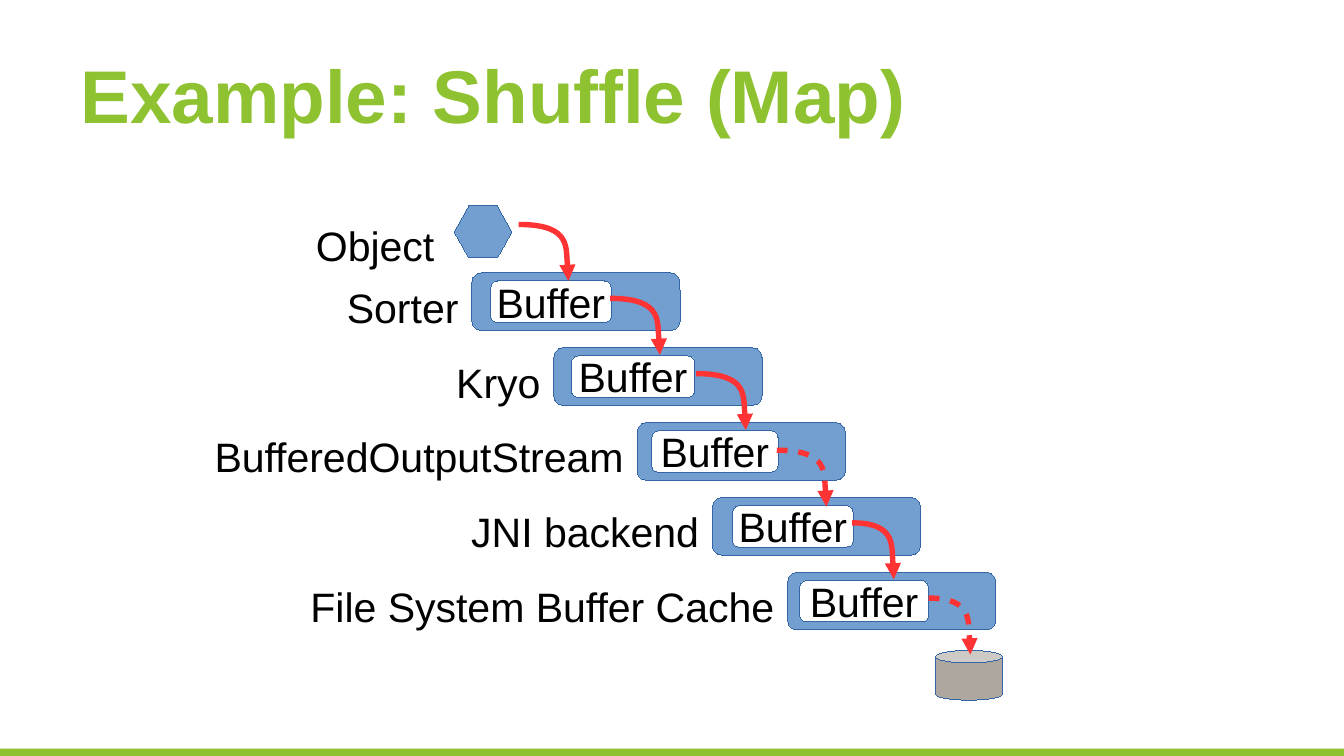
from dataclasses import dataclass

from lxml import etree
from pptx import Presentation
from pptx.dml.color import RGBColor
from pptx.enum.shapes import MSO_SHAPE
from pptx.enum.text import MSO_ANCHOR, MSO_AUTO_SIZE, PP_ALIGN
from pptx.oxml.ns import qn
from pptx.util import Inches, Pt

RECTANGLE = MSO_SHAPE.RECTANGLE
ROUNDED = MSO_SHAPE.ROUNDED_RECTANGLE
HEXAGON = MSO_SHAPE.HEXAGON
CAN = MSO_SHAPE.CAN
LEFT, CENTER, RIGHT = PP_ALIGN.LEFT, PP_ALIGN.CENTER, PP_ALIGN.RIGHT
TOP, MIDDLE = MSO_ANCHOR.TOP, MSO_ANCHOR.MIDDLE
NO_FIT, GROW = MSO_AUTO_SIZE.NONE, MSO_AUTO_SIZE.SHAPE_TO_FIT_TEXT

COLORS = {
    "green": "8FC230",
    "blue": "729FCF",
    "outline": "3465A4",
    "white": "FFFFFF",
    "black": "000000",
    "gray": "AEA79F",
    "red": "FF3333",
}
TITLE_FONT = {"name": "Arial", "size": Pt(40), "bold": True}
BODY_FONT = {"name": "Arial", "size": Pt(22), "bold": False}
BUFFER_FRAME = {"word_wrap": False, "vertical_anchor": MIDDLE, "auto_size": NO_FIT}
LABEL_FRAME = {"word_wrap": True, "vertical_anchor": TOP, "auto_size": GROW}
TITLE_FRAME = {"word_wrap": True, "vertical_anchor": MIDDLE, "auto_size": NO_FIT}

STAGE_TOP, STAGE_STEP = 2.03, 0.557
STAGE_WIDTH, STAGE_HEIGHT = 1.55, 0.43
BUFFER_HEIGHT = 0.31
HAIRLINE = Pt(0.01)


@dataclass
class Box:
    left: float
    top: float
    width: float
    height: float

    def lengths(self) -> list:
        return [Inches(v) for v in (self.left, self.top, self.width, self.height)]


@dataclass
class Stage:
    name: str
    left: float
    buffer_left: float
    buffer_width: float
    label_width: float
    label_height: float = 0.44


@dataclass
class Flow:
    left: float
    top: float
    width: float = 0.37
    height: float = 0.42
    dashed: bool = False


STAGES = [
    Stage("Sorter", 3.51, 3.65, 0.90, 1.11),
    Stage("Kryo", 4.12, 4.25, 0.92, 2.17),
    Stage("BufferedOutputStream", 4.74, 4.85, 0.94, 3.69, 0.73),
    Stage("JNI backend", 5.30, 5.45, 0.90, 2.17),
    Stage("File System Buffer Cache", 5.86, 5.95, 0.96, 4.51),
]
FLOWS = [
    Flow(3.86, 1.67),
    Flow(4.54, 2.22),
    Flow(5.18, 2.78),
    Flow(5.78, 3.35, dashed=True),
    Flow(6.34, 3.89, 0.31),
    Flow(6.91, 4.45, 0.31, dashed=True),
]


def color(name: str) -> RGBColor:
    return RGBColor.from_string(COLORS[name])


def apply(target, values: dict) -> None:
    for name, value in values.items():
        setattr(target, name, value)


def write(shape, text: str, align, frame: dict, font: dict, ink: str) -> None:
    apply(shape.text_frame, frame)
    para = shape.text_frame.paragraphs[0]
    para.alignment = align
    span = para.add_run()
    span.text = text
    apply(span.font, font)
    span.font.color.rgb = color(ink)


def draw_shape(page, kind, box: Box, fill: str, outlined: bool = True):
    shape = page.shapes.add_shape(kind, *box.lengths())
    shape.shadow.inherit = False
    shape.fill.solid()
    shape.fill.fore_color.rgb = color(fill)
    if outlined:
        shape.line.color.rgb = color("outline")
        shape.line.width = HAIRLINE
    else:
        shape.line.fill.background()
    return shape


def draw_label(page, text: str, box: Box) -> None:
    label = page.shapes.add_textbox(*box.lengths())
    write(label, text, RIGHT, LABEL_FRAME, BODY_FONT, "black")


def draw_stage(page, stage: Stage, top: float) -> None:
    draw_shape(page, ROUNDED, Box(stage.left, top, STAGE_WIDTH, STAGE_HEIGHT), "blue")
    buffer_top = top + (STAGE_HEIGHT - BUFFER_HEIGHT) / 2
    buffer_box = Box(stage.buffer_left, buffer_top, stage.buffer_width, BUFFER_HEIGHT)
    buffer = draw_shape(page, ROUNDED, buffer_box, "white")
    write(buffer, "Buffer", CENTER, BUFFER_FRAME, BODY_FONT, "black")
    label_left = stage.left - stage.label_width
    draw_label(page, stage.name,
               Box(label_left, top + 0.02, stage.label_width, stage.label_height))


def bend(arrow, width: int, height: int) -> None:
    segment = next(arrow.element.iter(qn("a:lnTo")))
    curve = etree.Element(qn("a:cubicBezTo"))
    for x, y in ((int(width * 1.1), 0), (width, height), (width, height)):
        etree.SubElement(curve, qn("a:pt"), x=str(x), y=str(y))
    segment.getparent().replace(segment, curve)


def draw_flow(page, flow: Flow) -> None:
    left, top, width, height = Box(flow.left, flow.top, flow.width, flow.height).lengths()
    builder = page.shapes.build_freeform(left, top)
    builder.add_line_segments([(left + width, top + height)], close=False)
    arrow = builder.convert_to_shape()
    bend(arrow, width, height)
    arrow.shadow.inherit = False
    arrow.fill.background()
    arrow.line.color.rgb = color("red")
    arrow.line.width = Pt(2.89)
    line = arrow.line._get_or_add_ln()
    if flow.dashed:
        dashes = etree.SubElement(line, qn("a:custDash"))
        etree.SubElement(dashes, qn("a:ds"), d="200000", sp="200000")
    etree.SubElement(line, qn("a:round"))
    etree.SubElement(line, qn("a:tailEnd"), type="triangle")


def main() -> None:
    deck = Presentation()
    deck.slide_width = Inches(10)
    deck.slide_height = deck.slide_width * 9 // 16
    page = deck.slides.add_slide(deck.slide_layouts[5])
    draw_shape(page, RECTANGLE, Box(0, 5.57, 10, 0.06), "green", outlined=False)

    title = page.shapes.title
    title_box = Box(0.5, 0.23, 9, 0.94)
    apply(title, dict(zip(("left", "top", "width", "height"), title_box.lengths())))
    write(title, "Example: Shuffle (Map)", LEFT, TITLE_FRAME, TITLE_FONT, "green")

    draw_label(page, "Object", Box(1.35, 1.59, 1.98, 0.73))
    record = draw_shape(page, HEXAGON, Box(3.38, 1.53, 0.43, 0.39), "blue")
    record.adjustments[0] = 0.28
    for index, stage in enumerate(STAGES):
        draw_stage(page, stage, STAGE_TOP + index * STAGE_STEP)
    draw_shape(page, CAN, Box(6.96, 4.84, 0.5, 0.37), "gray")
    for flow in FLOWS:
        draw_flow(page, flow)
    deck.save("out.pptx")


if __name__ == "__main__":
    main()
